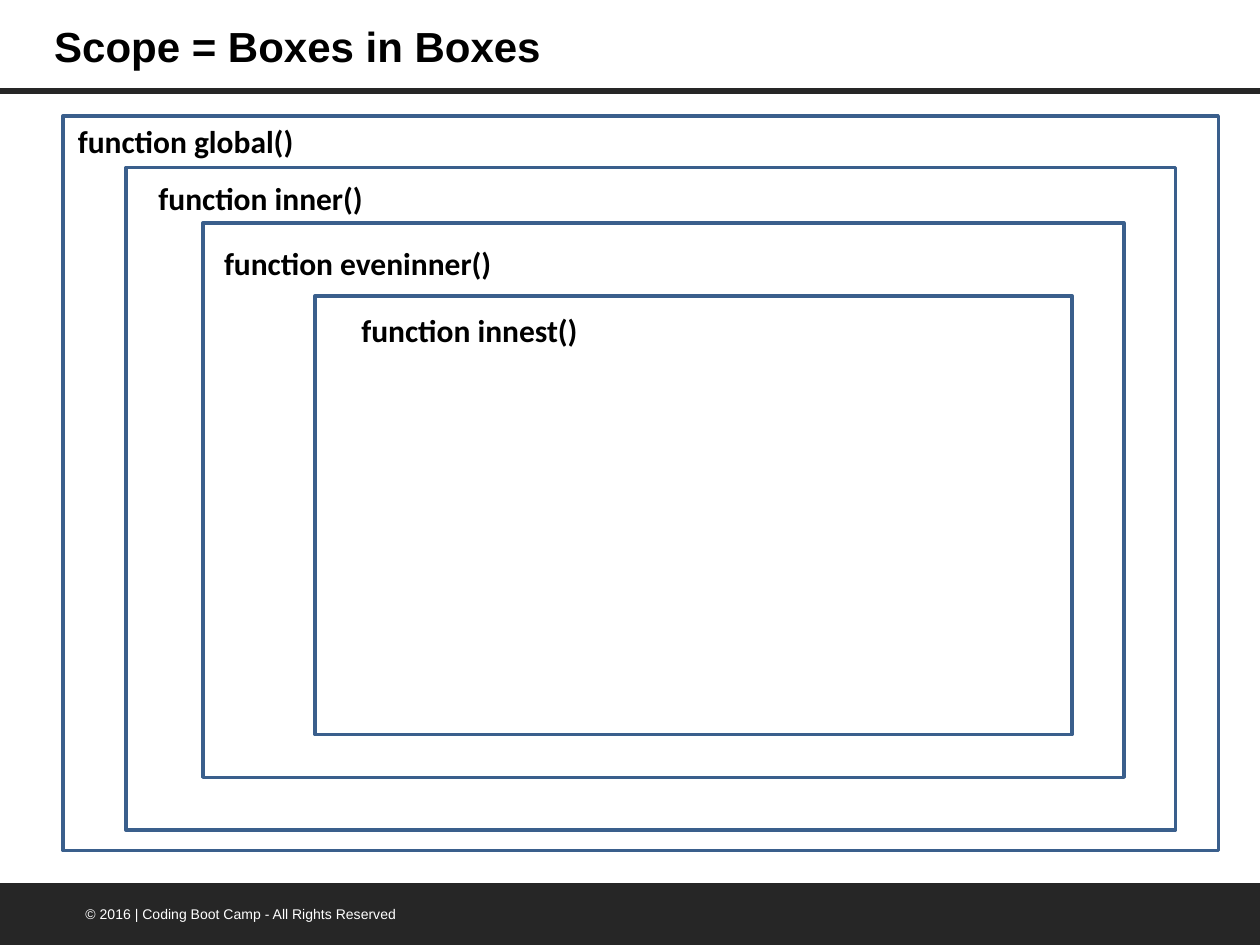
from typing import NamedTuple

from lxml.etree import SubElement
from pptx import Presentation
from pptx.dml.color import RGBColor
from pptx.enum.shapes import MSO_CONNECTOR, MSO_SHAPE
from pptx.enum.text import MSO_ANCHOR, MSO_AUTO_SIZE, PP_ALIGN
from pptx.oxml.ns import qn
from pptx.util import Inches, Pt

COLORS = {"dark": "262626", "white": "FFFFFF", "black": "000000", "blue": "3A5F8C"}
TITLE_FONT = {"name": "Arial", "size": Pt(24), "bold": True}
LABEL_FONT = {"name": "Calibri", "size": Pt(18), "bold": True}
FOOTER_FONT = {"name": "Arial", "size": Pt(8), "bold": False}


class Rect(NamedTuple):
    left: float
    top: float
    width: float
    height: float

    def lengths(self) -> list:
        return [Inches(v) for v in self]


class Scope(NamedTuple):
    name: str
    box: Rect
    label: Rect


SCOPES = [
    Scope("global", Rect(0.5, 0.92, 9.17, 5.83), Rect(0.52, 0.92, 1.96, 0.4)),
    Scope("inner", Rect(1, 1.33, 8.33, 5.26), Rect(1.16, 1.37, 1.84, 0.4)),
    Scope("eveninner", Rect(1.61, 1.77, 7.31, 4.4), Rect(1.68, 1.89, 2.34, 0.4)),
    Scope("innest", Rect(2.5, 2.35, 6.01, 3.48), Rect(2.77, 2.42, 1.93, 0.4)),
]


def rgb(color: str) -> RGBColor:
    return RGBColor.from_string(COLORS[color])


def write(tf, text: str, font: dict, color: str) -> None:
    p = tf.paragraphs[0]
    p.alignment = PP_ALIGN.LEFT
    r = p.add_run()
    r.text = text
    for key, value in font.items():
        setattr(r.font, key, value)
    r.font.color.rgb = rgb(color)


def add_text(s, rect: Rect, text: str, font: dict, color: str, wrap: bool) -> None:
    tf = s.shapes.add_textbox(*rect.lengths()).text_frame
    tf.word_wrap = wrap
    tf.auto_size = MSO_AUTO_SIZE.SHAPE_TO_FIT_TEXT
    write(tf, text, font, color)


def add_block(s, kind: MSO_SHAPE, rect: Rect, fill: str, line: str = "") -> None:
    """Add a filled shape, outlined only when a line colour is given."""
    sp = s.shapes.add_shape(kind, *rect.lengths())
    sp.shadow.inherit = False
    sp.fill.solid()
    sp.fill.fore_color.rgb = rgb(fill)
    if line:
        sp.line.color.rgb = rgb(line)
        sp.line.width = Pt(2)
    else:
        sp.line.fill.background()


def add_title(s, text: str) -> None:
    title = s.shapes.title
    rect = Rect(0.33, 0, 5.98, 0.72)
    for key, value in zip(rect._fields, rect.lengths()):
        setattr(title, key, value)
    tf = title.text_frame
    tf.vertical_anchor = MSO_ANCHOR.MIDDLE
    tf.auto_size = MSO_AUTO_SIZE.NONE
    write(tf, text, TITLE_FONT, "black")


def add_title_rule(s) -> None:
    y = Inches(0.72)
    rule = s.shapes.add_connector(MSO_CONNECTOR.STRAIGHT, 0, y, Inches(10), y)
    rule.line.color.rgb = rgb("dark")
    rule.line.width = Pt(3.25)
    SubElement(rule._element.spPr, qn("a:effectLst"))


def main() -> None:
    prs = Presentation()
    prs.slide_width, prs.slide_height = Inches(10), Inches(7.5)
    s = prs.slides.add_slide(prs.slide_layouts[5])

    add_title_rule(s)
    add_block(s, MSO_SHAPE.FLOWCHART_PROCESS, Rect(-0.01, 7.01, 10.01, 0.5), "dark")
    add_text(s, Rect(0.58, 7.14, 3.05, 0.24),
             "© 2016 | Coding Boot Camp - All Rights Reserved",
             FOOTER_FONT, "white", wrap=True)
    add_title(s, "Scope = Boxes in Boxes")

    for scope in SCOPES:
        add_block(s, MSO_SHAPE.RECTANGLE, scope.box, "white", "blue")
    for scope in SCOPES:
        add_text(s, scope.label, f"function {scope.name}()",
                 LABEL_FONT, "black", wrap=False)

    prs.save("out.pptx")


if __name__ == "__main__":
    main()
